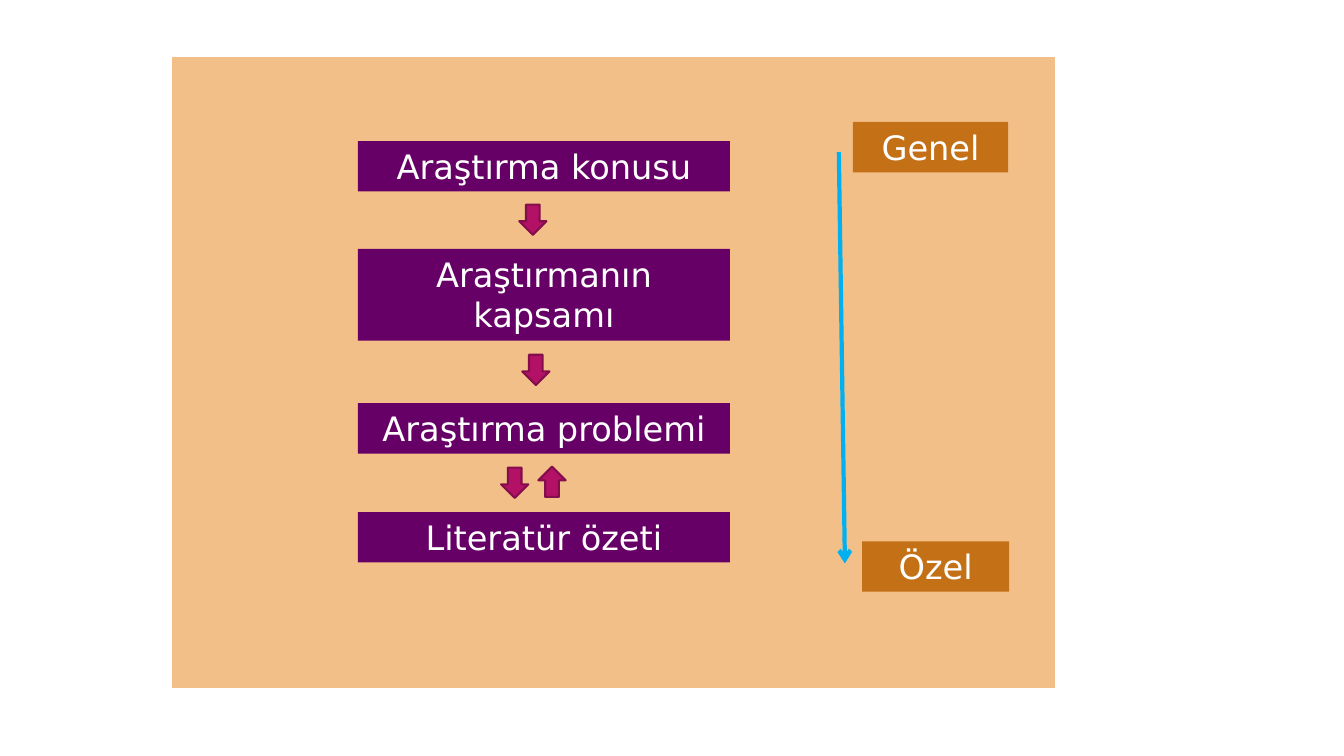
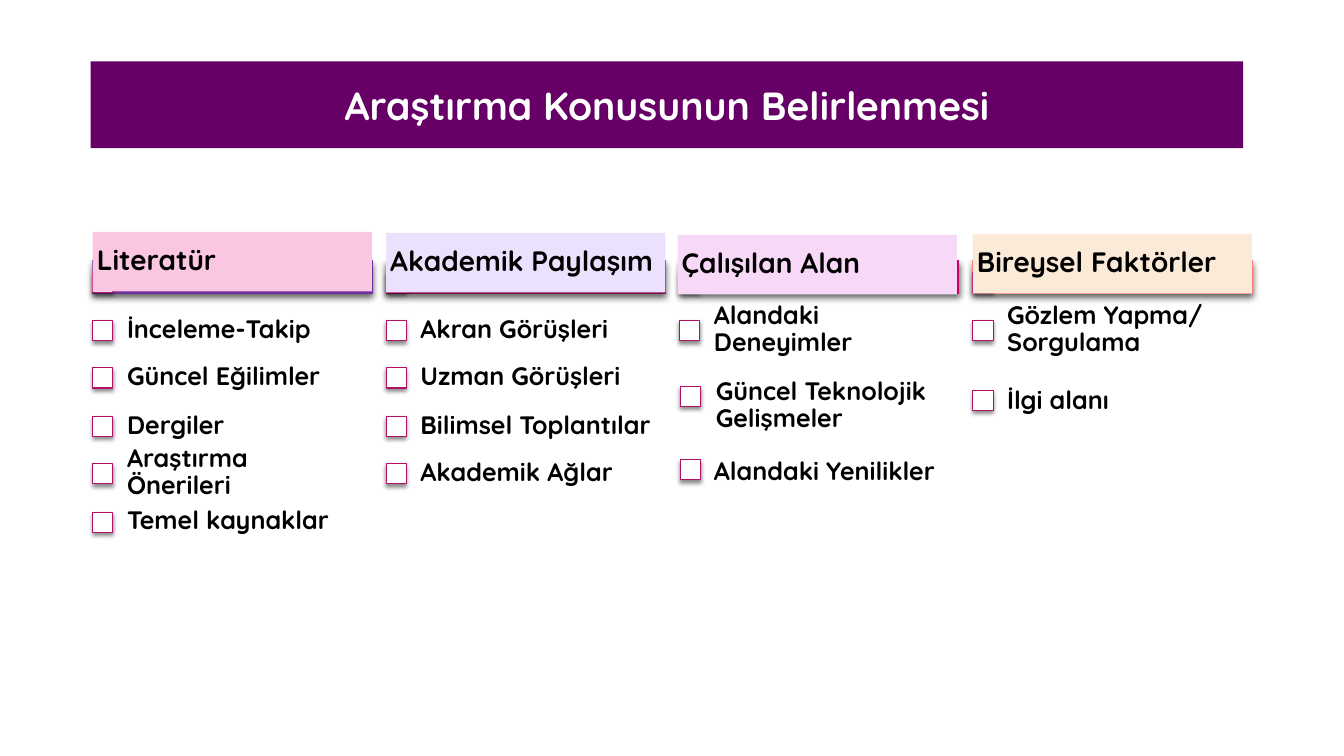
from lxml.etree import SubElement
from pptx import Presentation
from pptx.dml.color import RGBColor
from pptx.enum.shapes import MSO_CONNECTOR, MSO_SHAPE
from pptx.enum.text import MSO_ANCHOR, MSO_AUTO_SIZE as FIT, PP_ALIGN
from pptx.oxml.ns import qn
from pptx.util import Emu, Pt

PX = 9144

PURPLE = RGBColor(0x66, 0x00, 0x66)
SAND = RGBColor(0xF2, 0xBF, 0x89)
OCHRE = RGBColor(0xC4, 0x70, 0x16)
MAGENTA = RGBColor(0xB3, 0x11, 0x66)
PLUM = RGBColor(0x84, 0x0D, 0x4B)
SKY = RGBColor(0x00, 0xB0, 0xF0)
WHITE = RGBColor(0xFF, 0xFF, 0xFF)
BLACK = RGBColor(0x00, 0x00, 0x00)
VIOLET = RGBColor(0x70, 0x30, 0xA0)
WINE = RGBColor(0x86, 0x0D, 0x4C)
CERISE = RGBColor(0xCC, 0x00, 0x66)
CORAL = RGBColor(0xFF, 0x71, 0x71)
PINK = RGBColor(0xFA, 0xC6, 0xE1)
LILAC = RGBColor(0xEB, 0xE1, 0xFC)
ORCHID = RGBColor(0xF7, 0xD8, 0xF6)
PEACH = RGBColor(0xFB, 0xEA, 0xD8)

BODY_FONT, LIST_FONT = "DejaVu Sans", "Quicksand"

STEPS = [("Araştırma konusu", 84, 50), ("Araştırmanın kapsamı", 191, 91),
         ("Araştırma problemi", 344, 50), ("Literatür özeti", 452, 50)]
STEP_ARROWS = [(345, 147, 0), (348, 296, 0), (327, 408, 0), (364, 407, 180)]
SCOPES = [("Genel", 676, 65, 154), ("Özel", 685, 481, 146)]

EVEN_ROWS = [(0, 88 + round(47.4 * i), 20, 74 + round(47.4 * i)) for i in range(5)]
AREA_ROWS = [(0, 88, 20, 74), (1, 153, 22, 149), (1, 226, 20, 215)]
PERSON_ROWS = [(0, 88, 20, 74), (0, 157, 20, 145)]
COLUMNS = [
    ("Literatür", VIOLET, PINK, (0, 0), EVEN_ROWS,
     ["İnceleme-Takip", "Güncel Eğilimler", "Dergiler",
      "Araştırma Önerileri", "Temel kaynaklar"]),
    ("Akademik Paylaşım", WINE, LILAC, (0, 1), EVEN_ROWS,
     ["Akran Görüşleri", "Uzman Görüşleri", "Bilimsel Toplantılar", "Akademik Ağlar"]),
    ("Çalışılan Alan", CERISE, ORCHID, (-2, 3), AREA_ROWS,
     ["Alandaki Deneyimler", "Güncel Teknolojik Gelişmeler", "Alandaki Yenilikler"]),
    ("Bireysel Faktörler", CORAL, PEACH, (0, 2), PERSON_ROWS,
     ["Gözlem Yapma/ Sorgulama", "İlgi alanı"]),
]


def px(*lengths):
    return [Emu(n * PX) for n in lengths]


def add_run(p, text, font, size, color, bold=False):
    r = p.add_run()
    r.text = text
    r.font.name, r.font.size, r.font.bold = font, Pt(size), bold
    r.font.color.rgb = color


def add_solid(parent, color):
    fill = SubElement(parent, qn("a:solidFill"))
    return SubElement(fill, qn("a:srgbClr"), val=str(color))


def add_box(shapes, kind, box, fill, line, width):
    sp = shapes.add_shape(kind, *px(*box))
    sp.shadow.inherit = False
    sp.fill.solid()
    sp.fill.fore_color.rgb = fill
    sp.line.color.rgb = line
    sp.line.width = Pt(width)
    return sp


def cast_shadow(sp, alpha, blur, dist):
    effects = sp._element.spPr.find(qn("a:effectLst"))
    shadow = SubElement(effects, qn("a:outerShdw"), blurRad=str(Pt(blur)),
                        dist=str(Pt(dist)), dir="5400000", rotWithShape="0")
    color = SubElement(shadow, qn("a:srgbClr"), val=str(BLACK))
    SubElement(color, qn("a:alpha"), val=str(alpha * 1000))


def add_caption(shapes, box, text, fill):
    sp = shapes.add_textbox(*px(*box))
    sp.fill.solid()
    sp.fill.fore_color.rgb = fill
    tf = sp.text_frame
    tf.word_wrap = True
    tf.auto_size = FIT.SHAPE_TO_FIT_TEXT
    p = tf.paragraphs[0]
    p.alignment = PP_ALIGN.CENTER
    add_run(p, text, BODY_FONT, 24, WHITE)


def add_entry(shapes, box, text, size, inset_x, inset_y, fill=None):
    sp = shapes.add_textbox(*px(*box))
    if fill is not None:
        sp.fill.solid()
        sp.fill.fore_color.rgb = fill
    tf = sp.text_frame
    tf.word_wrap = True
    tf.auto_size = FIT.NONE
    tf.vertical_anchor = MSO_ANCHOR.MIDDLE
    tf.margin_left, tf.margin_right = px(inset_x, inset_x)
    tf.margin_top, tf.margin_bottom = px(inset_y, inset_y)
    p = tf.paragraphs[0]
    p.line_spacing = 0.9
    p.space_after = Pt(round(size * 0.35))
    add_run(p, text, LIST_FONT, size, BLACK, True)


def add_tick(shapes, x, y, alpha=100):
    sp = add_box(shapes, MSO_SHAPE.RECTANGLE, (x, y, 20, 20), WHITE, MAGENTA, 0.75)
    cast_shadow(sp, 45, 3, 2)
    if alpha < 100:
        color = sp._element.spPr.find(qn("a:solidFill"))[0]
        SubElement(color, qn("a:alpha"), val=str(alpha * 1000))


def add_panel(s, box):
    cell = s.shapes.add_table(1, 1, *px(*box)).table.cell(0, 0)
    cell.fill.solid()
    cell.fill.fore_color.rgb = SAND
    tcPr = cell._tc.get_or_add_tcPr()
    for i, (side, width) in enumerate([("L", 1), ("R", 1), ("T", 1), ("B", 3)]):
        ln = SubElement(tcPr, qn("a:ln" + side), w=str(Pt(width)))
        add_solid(ln, WHITE)
        tcPr.insert(i, ln)


def add_steps(s, left, top):
    for text, y, h in STEPS:
        add_caption(s.shapes, (left + 185, top + y, 369, h), text, PURPLE)
    for x, y, angle in STEP_ARROWS:
        sp = add_box(s.shapes, MSO_SHAPE.DOWN_ARROW, (left + x, top + y, 27, 30),
                     MAGENTA, PLUM, 1.5)
        sp.rotation = angle


def add_scope(s, left, top):
    cxn = s.shapes.add_connector(MSO_CONNECTOR.STRAIGHT,
                                 *px(left + 662, top + 95, left + 668, top + 503))
    cxn.line.color.rgb = SKY
    cxn.line.width = Pt(3)
    SubElement(cxn.line._get_or_add_ln(), qn("a:tailEnd"), type="arrow")
    SubElement(cxn._element.spPr, qn("a:effectLst"))
    for text, x, y, w in SCOPES:
        add_caption(s.shapes, (left + x, top + y, w, 50), text, OCHRE)


def build_funnel(prs):
    s = prs.slides.add_slide(prs.slide_layouts[6])
    left, top = 170, 56
    add_panel(s, (left, top, 877, 628))
    add_steps(s, left, top)
    add_scope(s, left, top)


def add_title(s, box, text):
    sp = s.shapes.title
    sp.left, sp.top, sp.width, sp.height = px(*box)
    sp.fill.solid()
    sp.fill.fore_color.rgb = PURPLE
    tf = sp.text_frame
    tf.vertical_anchor = MSO_ANCHOR.MIDDLE
    p = tf.paragraphs[0]
    p.alignment = PP_ALIGN.CENTER
    add_run(p, text, LIST_FONT, 28, WHITE, True)


def add_column(s, left, top, width, column):
    head, accent, tint, (dx, dy), rows, items = column
    shapes = s.shapes.add_group_shape().shapes
    bar = add_box(shapes, MSO_SHAPE.RECTANGLE, (left, top + 28, width, 33),
                  accent, accent, 0.75)
    cast_shadow(bar, 60, 5, 3)
    add_tick(shapes, left, top + 40, 90)
    add_entry(shapes, (left + dx, top + dy, width, 59), head, 20, 4, 3, tint)
    for (tick_x, tick_y, x, y), text in zip(rows, items):
        add_tick(shapes, left + tick_x, top + tick_y)
        add_entry(shapes, (left + x, top + y, width - 20, 47), text, 18, 14, 14)


def build_topics(prs):
    s = prs.slides.add_slide(prs.slide_layouts[5])
    add_title(s, (90, 61, 1143, 86), "Araştırma Konusunun Belirlenmesi")
    for i, column in enumerate(COLUMNS):
        add_column(s, 92 + 291 * i, 230, 277, column)


def main():
    prs = Presentation()
    prs.slide_width, prs.slide_height = px(1333, 750)
    build_funnel(prs)
    build_topics(prs)
    prs.save("out.pptx")


if __name__ == "__main__":
    main()
